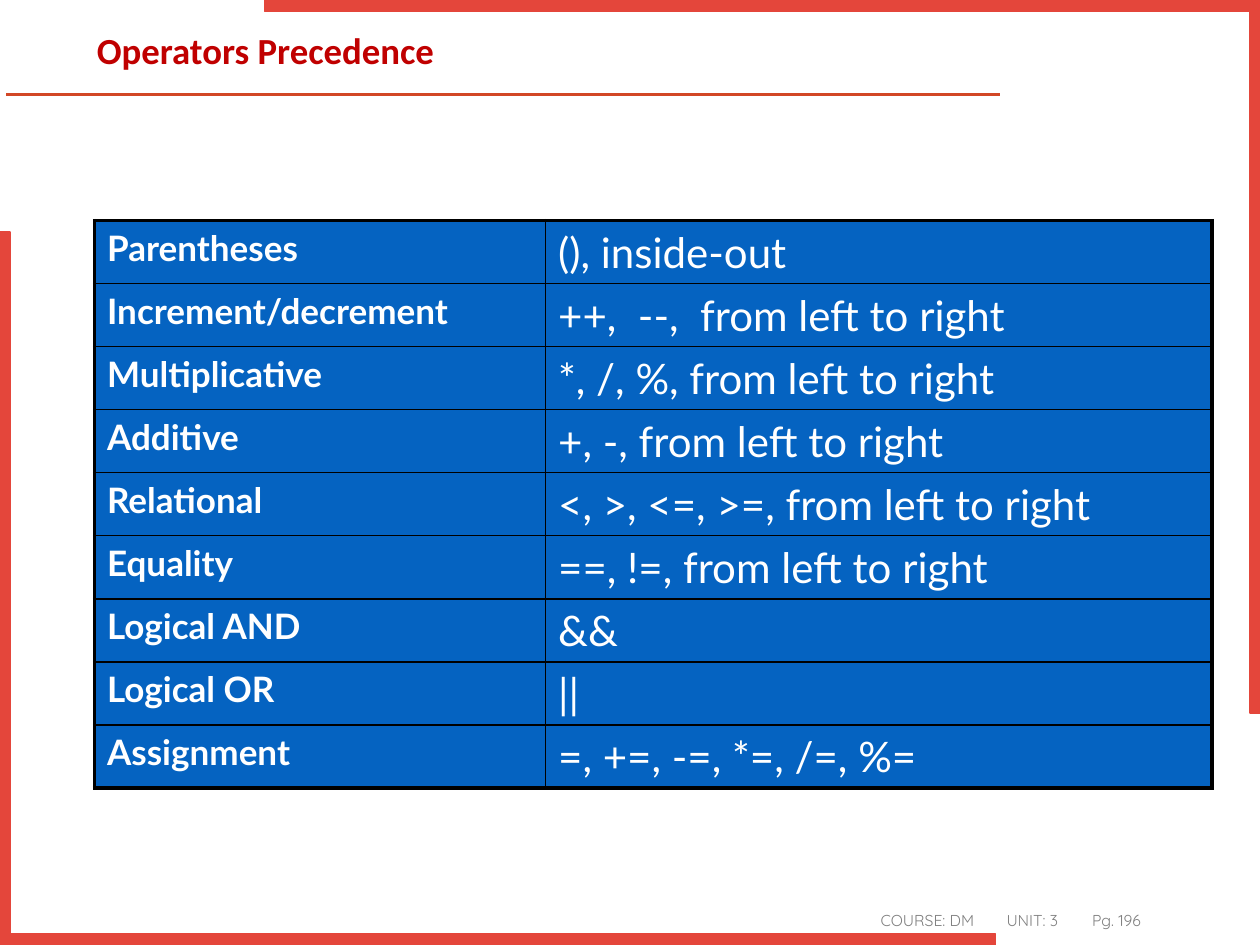
"""Build the operator precedence slide."""
from lxml import etree
from pptx import Presentation, util as u
from pptx.dml.color import RGBColor
from pptx.enum import shapes, text
from pptx.oxml import ns

RED = "E4463B"
ROWS = [
    ("Parentheses", "(), inside-out"),
    ("Increment/decrement", "++,  --,  from left to right"),
    ("Multiplicative", "*, /, %, from left to right"),
    ("Additive", "+, -, from left to right"),
    ("Relational", "<, >, <=, >=, from left to right"),
    ("Equality", "==, !=, from left to right"),
    ("Logical AND", "&&"),
    ("Logical OR", "||"),
    ("Assignment", "=, +=, -=, *=, /=, %="),
]


def hue(code):
    return RGBColor.from_string(code)


def sub(node, tag, **attrs):
    return etree.SubElement(node, ns.qn(tag), attrs)


class Page:
    def __init__(self, slide):
        self.slide = slide
        self.items = slide.shapes

    def style(self, para, size, face, color, bold=False):
        for run in para.runs:
            font = run.font
            font.size = u.Pt(size)
            font.name = face
            font.bold = bold
            font.color.rgb = hue(color)

    def line(self, left, top, right, color, width):
        y = u.Inches(top)
        rule = self.items.add_connector(
            shapes.MSO_CONNECTOR.STRAIGHT, u.Inches(left), y, u.Inches(right), y)
        rule.line.color.rgb = hue(color)
        rule.line.width = u.Pt(width)
        sub(rule._element.spPr, "a:effectLst")

    def corner(self, left, top, turn):
        shape = self.items.add_shape(
            shapes.MSO_SHAPE.CORNER, u.Inches(left), u.Inches(top),
            u.Inches(7.9), u.Inches(5.66))
        shape.adjustments[0] = 0.016
        shape.adjustments[1] = 0.014
        shape.rotation = turn
        shape.shadow.inherit = False
        shape.fill.solid()
        shape.fill.fore_color.rgb = hue(RED)
        shape.line.color.rgb = hue(RED)
        shape.line.width = u.Pt(1)

    def text(self, words, box, look, anchor=text.MSO_ANCHOR.TOP, tabs=()):
        frame = self.items.add_textbox(*map(u.Inches, box)).text_frame
        frame.word_wrap = True
        frame.vertical_anchor = anchor
        frame.text = words
        para = frame.paragraphs[0]
        if tabs:
            stops = sub(para._p.get_or_add_pPr(), "a:tabLst")
            for stop in tabs:
                sub(stops, "a:tab", pos=str(u.Inches(stop)), algn="l")
        self.style(para, *look)
        return para

    def border(self, cell, widths):
        props = cell._tc.get_or_add_tcPr()
        for side, width in zip("LRTB", widths):
            edge = sub(props, f"a:ln{side}", w=str(u.Pt(width)))
            sub(sub(edge, "a:solidFill"), "a:srgbClr", val="000000")

    def table(self, rows, box, cols):
        grid = self.items.add_table(
            len(rows), len(cols), *map(u.Inches, box)).table
        grid.first_row = grid.horz_banding = False
        for col, width in zip(grid.columns, cols):
            col.width = u.Inches(width)
        looks = [(20, "Lato", "FFFFFF", True), (24, "Lato", "FFFFFF")]
        for r, row in enumerate(rows):
            for c, words in enumerate(row):
                cell = grid.cell(r, c)
                outer = (c == 0, c == len(cols) - 1, r == 0, r == len(rows) - 1)
                self.border(cell, [2.25 if edge else 1 for edge in outer])
                cell.fill.solid()
                cell.fill.fore_color.rgb = hue("0563C1")
                cell.text_frame.text = words
                self.style(cell.text_frame.paragraphs[0], *looks[c])


def main():
    deck = Presentation()
    deck.slide_width, deck.slide_height = u.Inches(10), u.Inches(7.5)
    page = Page(deck.slides.add_slide(deck.slide_layouts[6]))
    page.line(0.05, 0.75, 7.94, "D24726", 2)
    page.corner(2.1, 0, 180)
    page.corner(0, 1.84, 0)
    foot = page.text("COURSE: DM\tUNIT: 3\tPg. 196", (6.89, 7.18, 2.5, 0.22),
                     (9, "Quicksand", "808080"), tabs=(1, 1.68))
    foot.space_after = u.Pt(6)
    title = page.text("Operators Precedence", (0.67, 0, 8.5, 0.83),
                      (21, "Calibri", "C00000", True), text.MSO_ANCHOR.MIDDLE)
    title.line_spacing = 0.9
    page.table(ROWS, (0.75, 1.75, 8.87, 4.5), (3.58, 5.29))
    deck.save("out.pptx")


if __name__ == "__main__":
    main()
